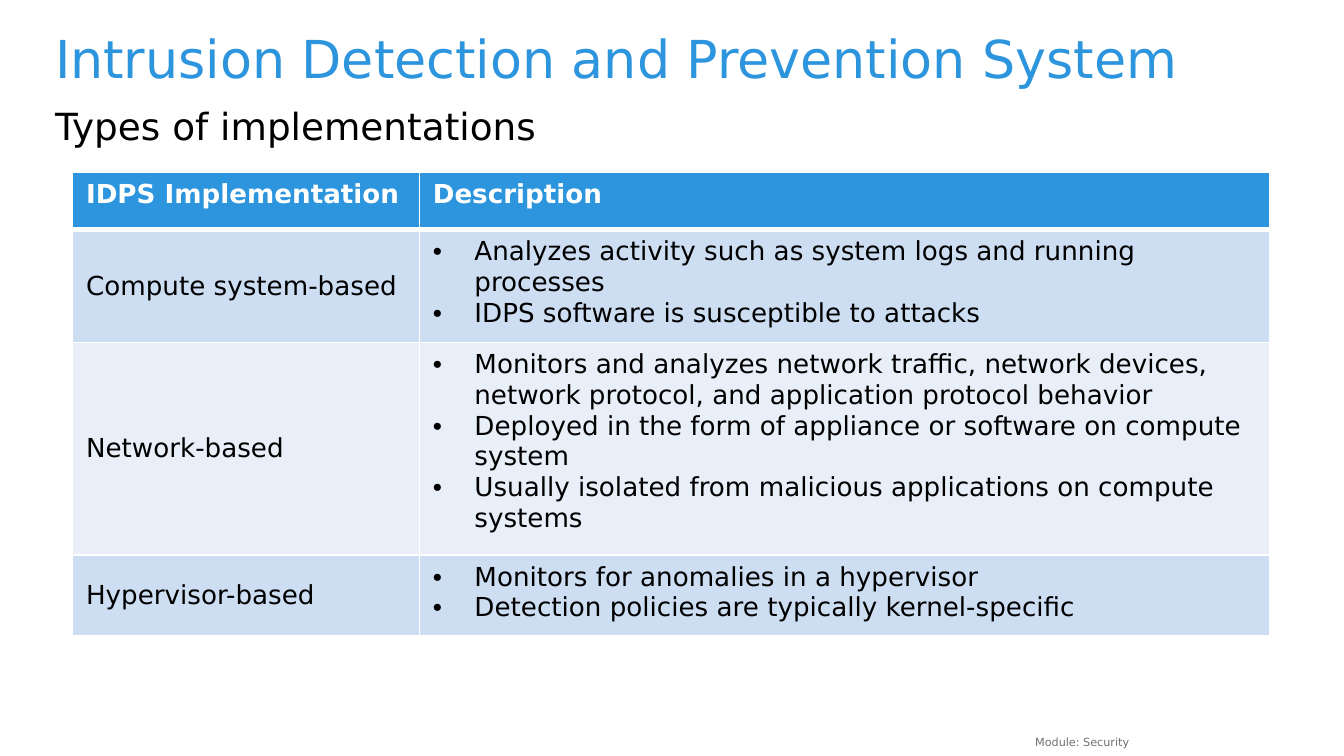
from dataclasses import dataclass

from lxml.etree import SubElement
from pptx import Presentation
from pptx.dml.color import RGBColor
from pptx.enum.text import MSO_ANCHOR, MSO_AUTO_SIZE, PP_ALIGN
from pptx.oxml.ns import qn
from pptx.util import Inches, Pt


@dataclass(frozen=True)
class Theme:
    font: str = "DejaVu Sans"
    accent: str = "2C95DD"
    text: str = "000000"
    light: str = "FFFFFF"
    muted: str = "717074"
    bands: tuple = ("CDDDF2", "E8EFF9")
    title_size: int = 28
    subtitle_size: int = 20
    table_size: int = 14
    footer_size: int = 6


THEME = Theme()
HEADERS = ("IDPS Implementation", "Description")
IMPLEMENTATIONS = (
    ("Compute system-based", (
        "Analyzes activity such as system logs and running processes",
        "IDPS software is susceptible to attacks",
    )),
    ("Network-based", (
        "Monitors and analyzes network traffic, network devices, "
        "network protocol, and application protocol behavior",
        "Deployed in the form of appliance or software on compute system",
        "Usually isolated from malicious applications on compute systems",
    )),
    ("Hypervisor-based", (
        "Monitors for anomalies in a hypervisor",
        "Detection policies are typically kernel-specific",
    )),
)
COLUMN_WIDTHS = (2.58, 6.33)
ROW_HEIGHTS = (0.43, 0.84, 1.58, 0.6)


def format_text(text_frame, size, color, bold=False):
    for paragraph in text_frame.paragraphs:
        for run in paragraph.runs:
            run.font.name = THEME.font
            run.font.size = Pt(size)
            run.font.bold = bold
            run.font.color.rgb = RGBColor.from_string(color)


def fill_placeholder(shape, text, box, size, color, line_spacing):
    shape.left, shape.top, shape.width, shape.height = map(Inches, box)
    text_frame = shape.text_frame
    text_frame.text = text
    text_frame.auto_size = MSO_AUTO_SIZE.NONE
    text_frame.vertical_anchor = MSO_ANCHOR.TOP
    text_frame.margin_left = text_frame.margin_right = 0
    text_frame.margin_top = text_frame.margin_bottom = 0
    paragraph = text_frame.paragraphs[0]
    paragraph.alignment = PP_ALIGN.LEFT
    paragraph.line_spacing = line_spacing
    paragraph.space_before = Pt(0)
    format_text(text_frame, size, color)


def add_footer(slide, text):
    shape = slide.shapes.add_textbox(
        Inches(2.83), Inches(5.42), Inches(5.67), Inches(0.15))
    text_frame = shape.text_frame
    text_frame.word_wrap = True
    text_frame.text = text
    text_frame.paragraphs[0].alignment = PP_ALIGN.RIGHT
    format_text(text_frame, THEME.footer_size, THEME.muted)


def set_borders(cell, top=1, bottom=1):
    properties = cell._tc.get_or_add_tcPr()
    widths = {"a:lnL": 1, "a:lnR": 1, "a:lnT": top, "a:lnB": bottom}
    for tag, width in widths.items():
        line = SubElement(properties, qn(tag), w=str(Pt(width)))
        fill = SubElement(line, qn("a:solidFill"))
        SubElement(fill, qn("a:srgbClr"), val=THEME.light)


def set_bullets(text_frame):
    indent = Inches(0.31)
    for paragraph in text_frame.paragraphs:
        properties = paragraph._p.get_or_add_pPr()
        properties.set("marL", str(indent))
        properties.set("indent", str(-indent))
        SubElement(properties, qn("a:buFont"), typeface="Arial")
        SubElement(properties, qn("a:buChar"), char="•")


def fill_cell(cell, text, background, color, bold=False):
    cell.fill.solid()
    cell.fill.fore_color.rgb = RGBColor.from_string(background)
    cell.text_frame.text = text
    format_text(cell.text_frame, THEME.table_size, color, bold)


def add_implementation_table(slide):
    table = slide.shapes.add_table(
        len(ROW_HEIGHTS), len(COLUMN_WIDTHS), Inches(0.54), Inches(1.28),
        Inches(sum(COLUMN_WIDTHS)), Inches(sum(ROW_HEIGHTS))).table
    for column, width in zip(table.columns, COLUMN_WIDTHS):
        column.width = Inches(width)
    for row, height in zip(table.rows, ROW_HEIGHTS):
        row.height = Inches(height)
    for column, header in enumerate(HEADERS):
        cell = table.cell(0, column)
        set_borders(cell, bottom=3)
        fill_cell(cell, header, THEME.accent, THEME.light, bold=True)
    for row, (name, points) in enumerate(IMPLEMENTATIONS, start=1):
        background = THEME.bands[(row - 1) % len(THEME.bands)]
        for column, text in enumerate((name, "\n".join(points))):
            cell = table.cell(row, column)
            set_borders(cell, top=3 if row == 1 else 1)
            fill_cell(cell, text, background, THEME.text)
        table.cell(row, 0).vertical_anchor = MSO_ANCHOR.MIDDLE
        set_bullets(table.cell(row, 1).text_frame)


def main():
    presentation = Presentation()
    presentation.slide_width = Inches(10)
    presentation.slide_height = Inches(10 * 9 / 16)
    slide = presentation.slides.add_slide(presentation.slide_layouts[0])
    fill_placeholder(
        slide.shapes.title, "Intrusion Detection and Prevention System",
        (0.41, 0.25, 9.25, 0.5), THEME.title_size, THEME.accent, 0.9)
    fill_placeholder(
        slide.placeholders[1], "Types of implementations",
        (0.41, 0.77, 9.24, 0.33), THEME.subtitle_size, THEME.text, 1.0)
    add_footer(slide, "Module: Security")
    add_implementation_table(slide)
    presentation.save("out.pptx")


if __name__ == "__main__":
    main()
